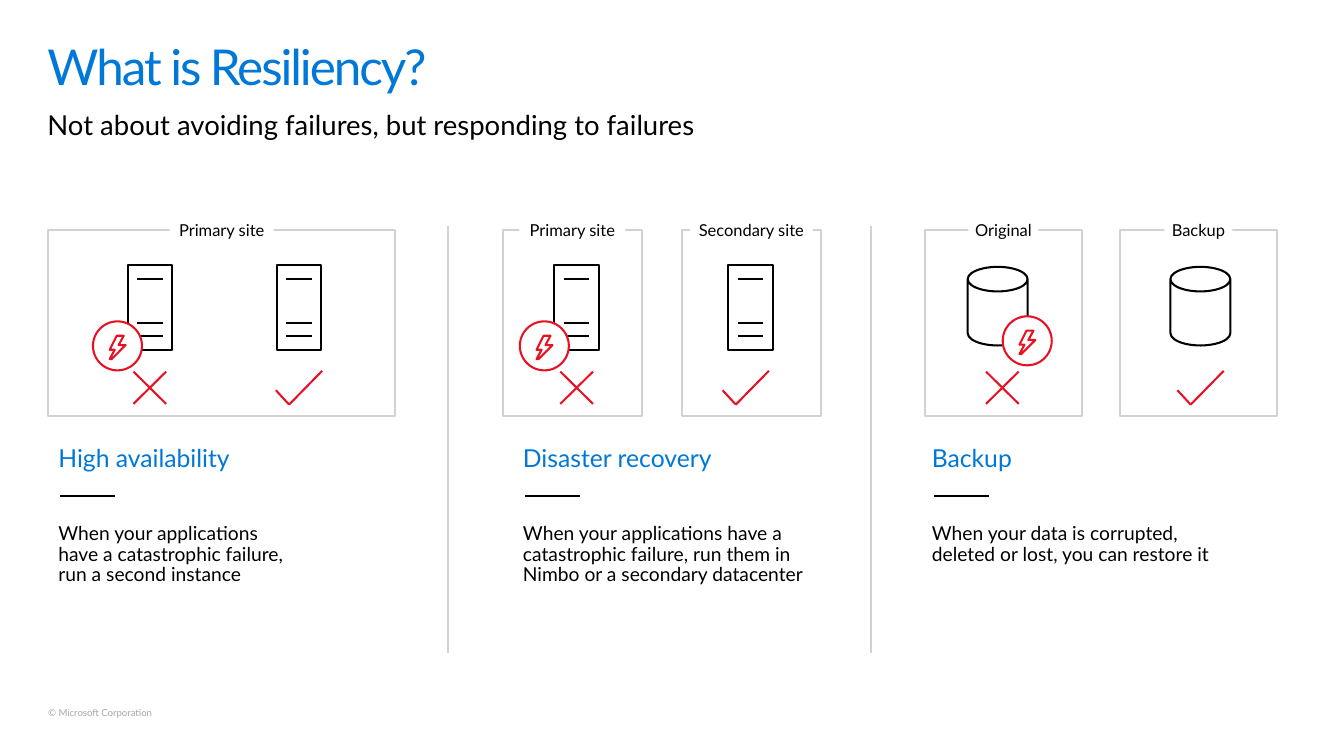
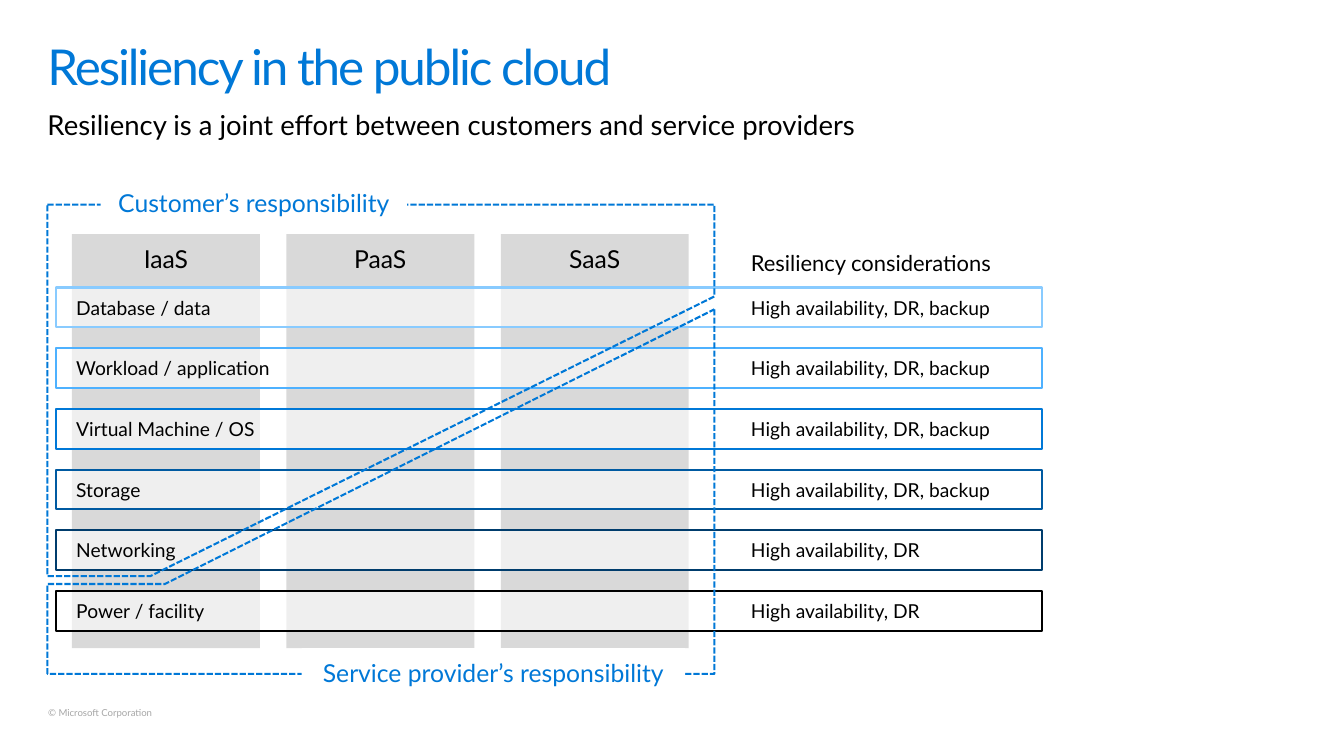
from dataclasses import dataclass

from lxml.etree import SubElement
from pptx import Presentation
from pptx.dml.color import RGBColor
from pptx.enum.dml import MSO_LINE_DASH_STYLE as Dash
from pptx.enum.shapes import MSO_CONNECTOR, MSO_SHAPE as Shape
from pptx.enum.text import MSO_ANCHOR as Anchor, MSO_AUTO_SIZE, PP_ALIGN as Align
from pptx.oxml.ns import qn
from pptx.shapes.autoshape import Shape as AutoShape
from pptx.slide import Slide
from pptx.util import Cm, Pt

Point = tuple[float, float]
Box = tuple[float, float, float, float]

FONT = "Lato"
BLUE, RED, BLACK, WHITE = "0078D7", "E81123", "000000", "FFFFFF"
FRAME_GREY, PILLAR_GREY, FOOTER_GREY = "D2D2D2", "D9D9D9", "A6A6A6"
LINE_WIDTH = Pt(1.5)

TITLE_BOX = (1.22, 0.64, 32.13, 2.16)
SUBTITLE_BOX = (1.22, 2.77, 32.13, 0.86)
FOOTER_BOX = (1.24, 18.21, 2.79, 0.28)


@dataclass
class Site:
    """A framed site with its label set into the top edge."""
    label: str
    x: float
    width: float
    label_width: float


@dataclass
class Device:
    """A server or a disk, and the mark for its state below it."""
    center: float
    failed: bool = False
    disk: bool = False
    mark_shift: float = 0


@dataclass
class Concept:
    heading: str
    text: str
    x: float
    width: float


@dataclass
class Layer:
    name: str
    considerations: str
    color: str


SITES = [
    Site("Primary site", 1.24, 8.92, 2.67),
    Site("Primary site", 12.93, 3.56, 2.72),
    Site("Secondary site", 17.53, 3.56, 3.15),
    Site("Original", 23.77, 4.04, 1.8),
    Site("Backup", 28.78, 4.04, 1.75),
]
DEVICES = [
    Device(3.85, failed=True),
    Device(7.68),
    Device(14.82, failed=True),
    Device(19.29, mark_shift=-0.13),
    Device(25.64, failed=True, disk=True, mark_shift=0.12),
    Device(30.85, disk=True),
]
CONCEPTS = [
    Concept("High availability",
            "When your applications have a catastrophic failure, run a second instance",
            1.5, 6.17),
    Concept("Disaster recovery",
            "When your applications have a catastrophic failure, run them in Nimbo "
            "or a secondary datacenter", 13.44, 8.03),
    Concept("Backup", "When your data is corrupted, deleted or lost, you can restore it",
            23.95, 8.03),
]
FULL = "High availability, DR, backup"
PARTIAL = "High availability, DR"
LAYERS = [
    Layer("Database / data", FULL, "89CBFF"),
    Layer("Workload / application", FULL, "4EB1FF"),
    Layer("Virtual Machine / OS", FULL, BLUE),
    Layer("Storage", FULL, "005AA1"),
    Layer("Networking", PARTIAL, "003C6C"),
    Layer("Power / facility", PARTIAL, BLACK),
]


def rgb(color: str) -> RGBColor:
    return RGBColor.from_string(color)


def cm_box(box: Box) -> list[Cm]:
    return [Cm(v) for v in box]


def style(sp: AutoShape, fill: str | None = None, line: str | None = None) -> None:
    sp.shadow.inherit = False
    if fill:
        sp.fill.solid()
        sp.fill.fore_color.rgb = rgb(fill)
    else:
        sp.fill.background()
    if line:
        sp.line.color.rgb = rgb(line)
        sp.line.width = LINE_WIDTH
    else:
        sp.line.fill.background()


def set_text(sp: AutoShape, text: str, size: float, color: str = BLACK,
             align: Align = Align.LEFT, anchor: Anchor = Anchor.TOP,
             spacing: float = 1, left: float = 0, top: float = 0,
             wrap: bool = True) -> None:
    tf = sp.text_frame
    tf.auto_size = MSO_AUTO_SIZE.NONE
    tf.word_wrap = wrap
    tf.vertical_anchor = anchor
    tf.margin_left, tf.margin_top = Cm(left), Cm(top)
    tf.margin_right = tf.margin_bottom = 0
    tf.text = text
    p = tf.paragraphs[0]
    p.alignment = align
    p.line_spacing = spacing
    p.space_before = Pt(0)
    p.font.name, p.font.size = FONT, Pt(size)
    p.font.color.rgb = rgb(color)


def add_box(s: Slide, kind: Shape, box: Box, fill: str | None = None,
            line: str | None = None) -> AutoShape:
    sp = s.shapes.add_shape(kind, *cm_box(box))
    style(sp, fill, line)
    return sp


def add_text(s: Slide, box: Box, text: str, size: float, **options) -> AutoShape:
    sp = s.shapes.add_textbox(*cm_box(box))
    set_text(sp, text, size, **options)
    return sp


def add_label(s: Slide, box: Box, text: str, size: float, color: str) -> None:
    """Centred text on white that interrupts the line behind it."""
    sp = add_text(s, box, text, size, color=color, align=Align.CENTER,
                  anchor=Anchor.MIDDLE)
    sp.fill.solid()
    sp.fill.fore_color.rgb = rgb(WHITE)


def add_line(s: Slide, start: Point, end: Point, color: str) -> None:
    c = s.shapes.add_connector(MSO_CONNECTOR.STRAIGHT, *cm_box((*start, *end)))
    c.line.color.rgb = rgb(color)
    c.line.width = LINE_WIDTH
    SubElement(c._element.spPr, qn("a:effectLst"))


def add_outline(s: Slide, closed: list[Point], color: str,
                strokes: list[list[Point]] | None = None) -> AutoShape:
    """A closed polygon, with optional open strokes in the same shape."""
    paths = [[(Cm(x), Cm(y)) for x, y in path] for path in [closed, *(strokes or [])]]
    builder = s.shapes.build_freeform(*paths[0][0])
    builder.add_line_segments(paths[0][1:], close=True)
    for path in paths[1:]:
        builder.move_to(*path[0])
        builder.add_line_segments(path[1:], close=False)
    sp = builder.convert_to_shape()
    style(sp, line=color)
    return sp


def add_slide(prs: Presentation, title: str, subtitle: str) -> Slide:
    s = prs.slides.add_slide(prs.slide_layouts[5])
    sp = s.shapes.title
    sp.left, sp.top, sp.width, sp.height = cm_box(TITLE_BOX)
    set_text(sp, title, 36, BLUE, spacing=0.9, top=0.46)
    for r in sp.text_frame.paragraphs[0].runs:
        r._r.get_or_add_rPr().set("spc", "-150")
    add_text(s, SUBTITLE_BOX, subtitle, 20)
    add_text(s, FOOTER_BOX, "© Microsoft Corporation", 7, color=FOOTER_GREY,
             spacing=0.9, wrap=False)
    return s


def draw_site(s: Slide, site: Site) -> None:
    top, label_height = 5.92, 0.5
    add_box(s, Shape.RECTANGLE, (site.x, top, site.width, 4.78), line=FRAME_GREY)
    label_x = site.x + (site.width - site.label_width) / 2
    add_label(s, (label_x, top - label_height / 2, site.label_width, label_height),
              site.label, 12, BLACK)


def draw_server(s: Slide, center: float) -> None:
    half, top, bottom = 0.57, 6.81, 8.99
    left, right = center - half, center + half
    slots = [[(center - 0.33, top + dy), (center + 0.33, top + dy)]
             for dy in (0.36, 1.5, 1.83)]
    add_outline(s, [(left, top), (right, top), (right, bottom), (left, bottom)],
                BLACK, slots)


def draw_disk(s: Slide, center: float) -> None:
    sp = add_box(s, Shape.CAN, (center - 0.77, 6.86, 1.54, 2.02), line=BLACK)
    sp.adjustments[0] = 0.41


def draw_failure_badge(s: Slide, cx: float, cy: float) -> None:
    size = 1.26
    x, y = cx - size / 2, cy - size / 2
    add_box(s, Shape.OVAL, (x, y, size, size), WHITE, RED)
    bolt = [(0.48, 0.97), (0.84, 0.61), (0.66, 0.61), (0.79, 0.37),
            (0.61, 0.37), (0.43, 0.73), (0.56, 0.73), (0.43, 0.97)]
    add_outline(s, [(x + dx, y + dy) for dx, dy in bolt], RED)


def draw_cross(s: Slide, center: float) -> None:
    half, top, bottom = 0.42, 9.55, 10.38
    add_line(s, (center - half, bottom), (center + half, top), RED)
    add_line(s, (center - half, top), (center + half, bottom), RED)


def draw_check(s: Slide, center: float) -> None:
    x, y = center - 0.59, 9.53
    corner = (x + 0.34, y + 0.87)
    add_line(s, (x, y + 0.5), corner, RED)
    add_line(s, corner, (x + 1.19, y), RED)


def draw_device(s: Slide, device: Device) -> None:
    draw = draw_disk if device.disk else draw_server
    draw(s, device.center)
    if device.failed:
        dx, cy = (0.76, 8.76) if device.disk else (-0.83, 8.89)
        draw_failure_badge(s, device.center + dx, cy)
    mark = draw_cross if device.failed else draw_check
    mark(s, device.center + device.mark_shift)


def draw_concept(s: Slide, concept: Concept) -> None:
    x, rule_y = concept.x, 12.75
    add_text(s, (x, 11.48, concept.width, 0.8), concept.heading, 18,
             color=BLUE, spacing=0.9)
    add_line(s, (x + 0.05, rule_y), (x + 1.46, rule_y), BLACK)
    add_text(s, (x, 13.46, concept.width, 1.7), concept.text, 14, spacing=0.9)


def build_definition(prs: Presentation) -> None:
    s = add_slide(prs, "What is Resiliency?",
                  "Not about avoiding failures, but responding to failures")
    for site in SITES:
        draw_site(s, site)
    for device in DEVICES:
        draw_device(s, device)
    for x in (11.51, 22.38):
        add_line(s, (x, 5.82), (x, 16.79), FRAME_GREY)
    for concept in CONCEPTS:
        draw_concept(s, concept)


def draw_layer(s: Slide, layer: Layer, y: float) -> None:
    sp = add_box(s, Shape.RECTANGLE, (1.45, y, 25.32, 1.02), WHITE, layer.color)
    fill_color = sp._element.spPr.find(qn("a:solidFill"))[0]
    SubElement(fill_color, qn("a:alpha"), val="60000")
    set_text(sp, layer.name, 14, anchor=Anchor.MIDDLE, left=0.51)


def build_responsibility(prs: Presentation) -> None:
    s = add_slide(prs, "Resiliency in the public cloud",
                  "Resiliency is a joint effort between customers and service providers")
    for i, name in enumerate(("IaaS", "PaaS", "SaaS")):
        sp = add_box(s, Shape.RECTANGLE, (1.85 + 5.45 * i, 6.02, 4.83, 10.64)
                     if i == 0 else (1.85 + 5.51 * i, 6.02, 4.83, 10.64), PILLAR_GREY)
        set_text(sp, name, 18, align=Align.CENTER, top=0.25)

    rows = [(layer, 7.39 + 1.56 * i) for i, layer in enumerate(LAYERS)]
    for layer, y in rows:
        draw_layer(s, layer, y)

    left, right = 1.22, 18.36
    customer = [(left, 5.26), (right, 5.26), (right, 7.62), (3.86, 14.81), (left, 14.81)]
    provider = [(right, 7.95), (right, 17.32), (left, 17.32), (left, 15.01), (4.24, 15.01)]
    for outline, label_box, label in (
            (customer, (2.59, 4.57, 7.87, 1.27), "Customer’s responsibility"),
            (provider, (7.75, 16.66, 9.86, 1.27), "Service provider’s responsibility")):
        add_outline(s, outline, BLUE).line.dash_style = Dash.SQUARE_DOT
        add_label(s, label_box, label, 18, BLUE)

    notes_x = 19.3
    add_text(s, (notes_x, 6.4, 7.37, 0.69), "Resiliency considerations", 16,
             anchor=Anchor.MIDDLE)
    for layer, y in rows:
        add_text(s, (notes_x, y, 7, 1.02), layer.considerations, 14, anchor=Anchor.MIDDLE)


def main() -> None:
    prs = Presentation()
    prs.slide_width, prs.slide_height = Cm(34.54), Cm(19.43)
    build_definition(prs)
    build_responsibility(prs)
    prs.save("out.pptx")


if __name__ == "__main__":
    main()
